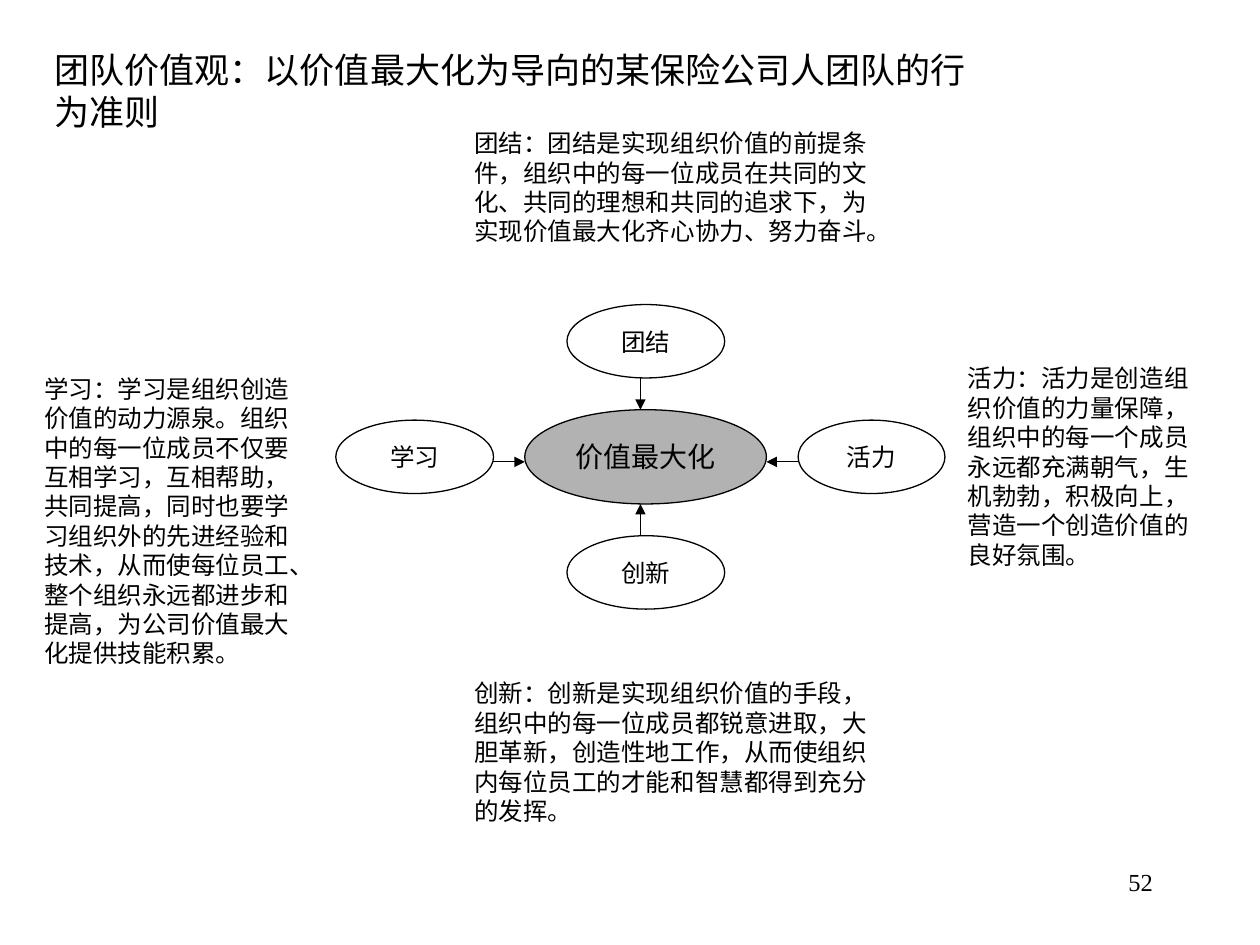
from lxml.etree import SubElement
from pptx import Presentation
from pptx.dml.color import RGBColor
from pptx.enum.shapes import MSO_CONNECTOR, MSO_SHAPE
from pptx.enum.text import MSO_ANCHOR, PP_ALIGN
from pptx.oxml.ns import qn
from pptx.util import Cm, Pt


def color(value):
    return RGBColor.from_string(value)


def write(box, text, size, latin, align, wrap):
    box.text_frame.word_wrap = wrap
    para = box.text_frame.paragraphs[0]
    paragraph_format = {"alignment": align, "line_spacing": Pt(size * 1.2)}
    for name, value in paragraph_format.items():
        setattr(para, name, value)
    span = para.add_run()
    span.text = text
    for name, value in {"size": Pt(size), "name": latin}.items():
        setattr(span.font, name, value)
    span.font.color.rgb = color("000000")
    east_asian = SubElement(span.font._element, qn("a:ea"))
    east_asian.set("typeface", "Noto Sans CJK SC")


deck = Presentation()
deck.slide_width, deck.slide_height = Cm(25.4), Cm(19.05)
page = deck.slides.add_slide(deck.slide_layouts[6])

SANS, SERIF = "Noto Sans CJK SC", "Times New Roman"
LEFT, RIGHT = PP_ALIGN.LEFT, PP_ALIGN.RIGHT

texts = [
    ("团结：团结是实现组织价值的前提条件，组织中的每一位成员在共同的文化、共同的理想和共同的追求下，为实现价值最大化齐心协力、努力奋斗。",
     (9.31, 2.46, 8.89, 2.64), 14, SANS, LEFT),
    ("学习：学习是组织创造价值的动力源泉。组织中的每一位成员不仅要互相学习，互相帮助，共同提高，同时也要学习组织外的先进经验和技术，从而使每位员工、整个组织永远都进步和提高，为公司价值最大化提供技能积累。",
     (0.64, 7.41, 5.5, 6.2), 14, SANS, LEFT),
    ("活力：活力是创造组织价值的力量保障，组织中的每一个成员永远都充满朝气，生机勃勃，积极向上，营造一个创造价值的良好氛围。",
     (19.26, 7.2, 5.16, 4.42), 14, SANS, LEFT),
    ("创新：创新是实现组织价值的手段，组织中的每一位成员都锐意进取，大胆革新，创造性地工作，从而使组织内每位员工的才能和智慧都得到充分的发挥。",
     (9.31, 13.55, 8.47, 3.23), 14, SANS, LEFT),
    ("团队价值观：以价值最大化为导向的某保险公司人团队的行为准则",
     (0.85, 0.85, 19.47, 1.96), 20, SERIF, LEFT),
    ("52", (18.2, 17.36, 5.29, 1.27), 14, SERIF, RIGHT),
]
for text, place, size, latin, align in texts:
    box = page.shapes.add_textbox(*map(Cm, place))
    write(box, text, size, latin, align, True)

arrows = [
    (12.91, 7.62, 12.91, 8.26),
    (9.74, 9.31, 10.58, 9.31),
    (16.51, 9.31, 15.45, 9.31),
    (12.91, 10.8, 12.91, 10.16),
]
for ends in arrows:
    arrow = page.shapes.add_connector(MSO_CONNECTOR.STRAIGHT, *map(Cm, ends))
    arrow.line.color.rgb = color("000000")
    arrow.line.width = Pt(0.75)
    SubElement(arrow.line._get_or_add_ln(), qn("a:tailEnd")).set("type", "triangle")
    SubElement(arrow._element.spPr, qn("a:effectLst"))

ellipses = [
    ("团结", (11.43, 6.14, 3.18, 1.48), "FFFFFF", 14),
    ("价值最大化", (10.58, 8.26, 4.87, 1.9), "B2B2B2", 16),
    ("学习", (6.77, 8.47, 3.18, 1.48), "FFFFFF", 14),
    ("活力", (16.09, 8.47, 2.96, 1.48), "FFFFFF", 14),
    ("创新", (11.43, 10.8, 3.18, 1.48), "FFFFFF", 14),
]
for text, place, fill, size in ellipses:
    ellipse = page.shapes.add_shape(MSO_SHAPE.OVAL, *map(Cm, place))
    ellipse.shadow.inherit = False
    ellipse.fill.solid()
    ellipse.fill.fore_color.rgb = color(fill)
    ellipse.line.color.rgb = color("000000")
    ellipse.line.width = Pt(0.75)
    ellipse.text_frame.vertical_anchor = MSO_ANCHOR.MIDDLE
    write(ellipse, text, size, SERIF, PP_ALIGN.CENTER, False)

deck.save("out.pptx")
